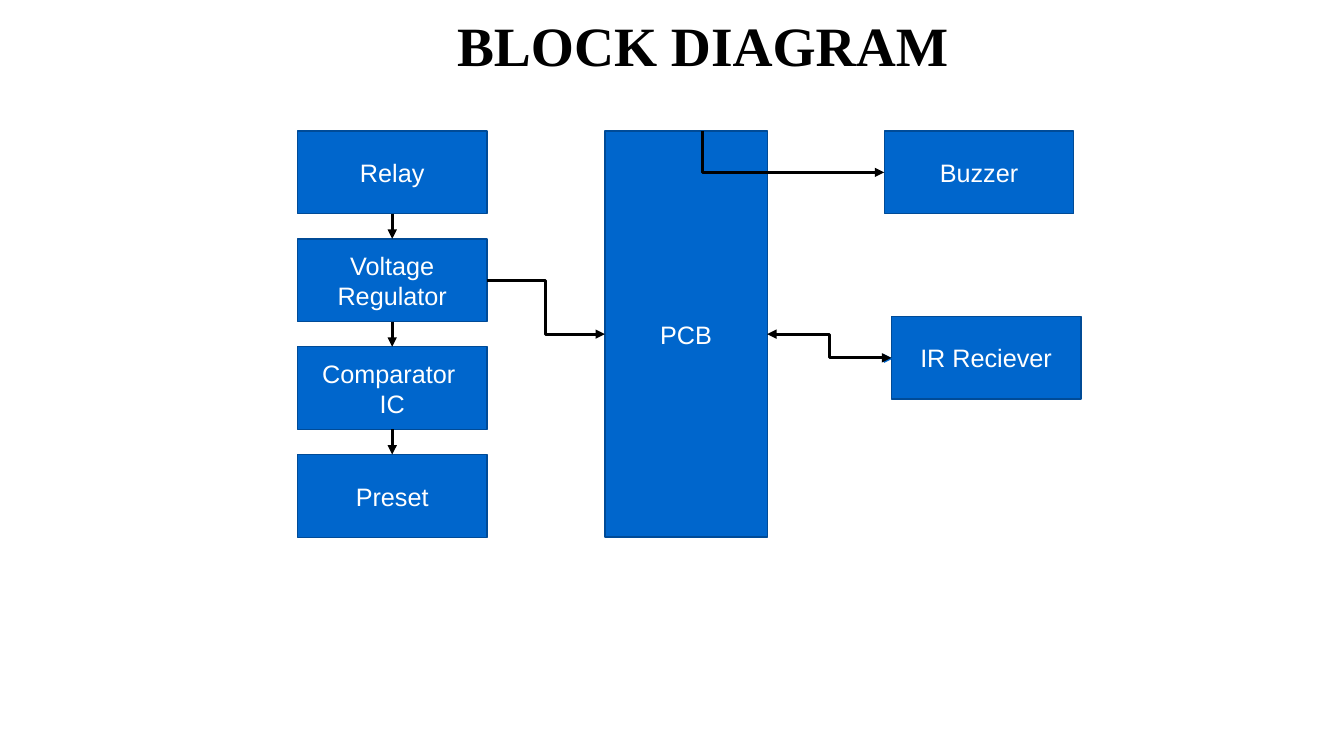
from dataclasses import dataclass

import pptx
import pptx.dml.color
import pptx.enum.shapes
import pptx.enum.text
import pptx.oxml
import pptx.oxml.ns
import pptx.util

Inches = pptx.util.Inches
Pt = pptx.util.Pt
RGB = pptx.dml.color.RGBColor.from_string
MSO_CONNECTOR = pptx.enum.shapes.MSO_CONNECTOR
PP_ALIGN = pptx.enum.text.PP_ALIGN
MSO_ANCHOR = pptx.enum.text.MSO_ANCHOR
TOP, LEFT, BOTTOM, RIGHT = range(4)  # connection sites of a rectangle


@dataclass(frozen=True)
class Theme:
    block: str = "0066CC"
    border: str = "004B97"
    ink: str = "000000"
    label: str = "FFFFFF"
    title_font: str = "Times New Roman"
    label_font: str = "Arial"
    title_size: float = 39.6
    label_size: float = 18
    border_width: float = 1
    arrow_width: float = 2.25
    thin_width: float = 0.5


THEME = Theme()
BLOCK_WIDTH, BLOCK_HEIGHT = 1.88, 0.82
TOP_ROW, ROW_STEP = 1.3, 1.07


def add_text(paragraph, text, font, size, color, bold=False):
    paragraph.alignment = PP_ALIGN.CENTER
    run = paragraph.add_run()
    run.text = text
    run.font.name = font
    run.font.size = Pt(size)
    run.font.bold = bold
    run.font.color.rgb = RGB(color)


def set_title(slide, text):
    title = slide.shapes.title
    title.left, title.top = Inches(1.49), Inches(0.11)
    title.width, title.height = Inches(10.96), Inches(1.16)
    frame = title.text_frame
    frame.auto_size = pptx.enum.text.MSO_AUTO_SIZE.NONE
    frame.vertical_anchor = MSO_ANCHOR.TOP
    frame.margin_top = 0
    add_text(frame.paragraphs[0], text, THEME.title_font, THEME.title_size,
             THEME.ink, bold=True)


def add_block(slide, lines, left, top, width=BLOCK_WIDTH, height=BLOCK_HEIGHT):
    block = slide.shapes.add_shape(
        pptx.enum.shapes.MSO_SHAPE.RECTANGLE,
        Inches(left), Inches(top), Inches(width), Inches(height))
    block.shadow.inherit = False
    block.fill.solid()
    block.fill.fore_color.rgb = RGB(THEME.block)
    block.line.color.rgb = RGB(THEME.border)
    block.line.width = Pt(THEME.border_width)
    frame = block.text_frame
    frame.word_wrap = True
    frame.vertical_anchor = MSO_ANCHOR.MIDDLE
    for number, line in enumerate(lines):
        paragraph = frame.add_paragraph() if number else frame.paragraphs[0]
        add_text(paragraph, line, THEME.label_font, THEME.label_size, THEME.label)
    return block


def add_arrow(slide, kind, start, end, color=THEME.ink,
              width=THEME.arrow_width, both_ends=False):
    arrow = slide.shapes.add_connector(
        kind, *(Inches(value) for value in (*start, *end)))
    arrow.line.color.rgb = RGB(color)
    arrow.line.width = Pt(width)
    outline = arrow.line._get_or_add_ln()
    for tag in ("a:headEnd", "a:tailEnd") if both_ends else ("a:tailEnd",):
        tip = pptx.oxml.ns.qn(tag)
        outline.append(outline.makeelement(tip, {"type": "triangle"}))
    properties = arrow._element.spPr
    properties.append(properties.makeelement(pptx.oxml.ns.qn("a:effectLst"), {}))
    return arrow


def link(slide, kind, source, source_site, target, target_site, both_ends=False):
    """Draw an arrow glued to two blocks."""
    arrow = add_arrow(slide, kind, (0, 0), (1, 1), both_ends=both_ends)
    arrow.begin_connect(source, source_site)
    arrow.end_connect(target, target_site)


def add_drop_arrow(slide, start, end):
    """Draw an arrow that goes down from start, then right to end."""
    center_x, center_y = (start[0] + end[0]) / 2, (start[1] + end[1]) / 2
    half_drop, half_run = (end[1] - start[1]) / 2, (end[0] - start[0]) / 2
    # The mirrored one-bend connector lies in a box turned by 270 degrees.
    arrow = add_arrow(slide, MSO_CONNECTOR.ELBOW,
                      (center_x + half_drop, center_y - half_run),
                      (center_x - half_drop, center_y + half_run))
    properties = arrow._element.spPr
    properties.prstGeom.set("prst", "bentConnector2")
    properties.xfrm.set("rot", str(270 * 60000))


def add_receiver_stub(slide):
    """Draw the thin two-headed arrow that loops out of the receiver's edge."""
    stub = add_arrow(slide, MSO_CONNECTOR.ELBOW, (8.85, 3.56), (8.84, 3.55),
                     THEME.block, THEME.thin_width, both_ends=True)
    guides = stub._element.spPr.prstGeom.get_or_add_avLst()
    guides.append(guides.makeelement(
        pptx.oxml.ns.qn("a:gd"), {"name": "adj1", "fmla": "val 2500000"}))


def main():
    deck = pptx.Presentation()
    deck.slide_width, deck.slide_height = Inches(13.33), Inches(7.5)
    slide = deck.slides.add_slide(deck.slide_layouts[5])
    set_title(slide, "BLOCK DIAGRAM")

    stages = [("Relay",), ("Voltage", "Regulator"), ("Comparator ", "IC"), ("Preset",)]
    chain = [add_block(slide, lines, 2.95, TOP_ROW + row * ROW_STEP)
             for row, lines in enumerate(stages)]
    pcb = add_block(slide, ["PCB"], 6, TOP_ROW, 1.61, 3 * ROW_STEP + BLOCK_HEIGHT)
    add_block(slide, ["Buzzer"], 8.77, TOP_ROW)
    receiver = add_block(slide, ["IR Reciever"], 8.84, 3.14)

    for upper, lower in zip(chain, chain[1:]):
        link(slide, MSO_CONNECTOR.STRAIGHT, upper, BOTTOM, lower, TOP)
    regulator = chain[1]
    link(slide, MSO_CONNECTOR.ELBOW, regulator, RIGHT, pcb, LEFT)
    add_drop_arrow(slide, (6.97, TOP_ROW), (8.77, TOP_ROW + BLOCK_HEIGHT / 2))
    add_receiver_stub(slide)
    link(slide, MSO_CONNECTOR.ELBOW, receiver, LEFT, pcb, RIGHT, both_ends=True)

    deck.save("out.pptx")


if __name__ == "__main__":
    main()
